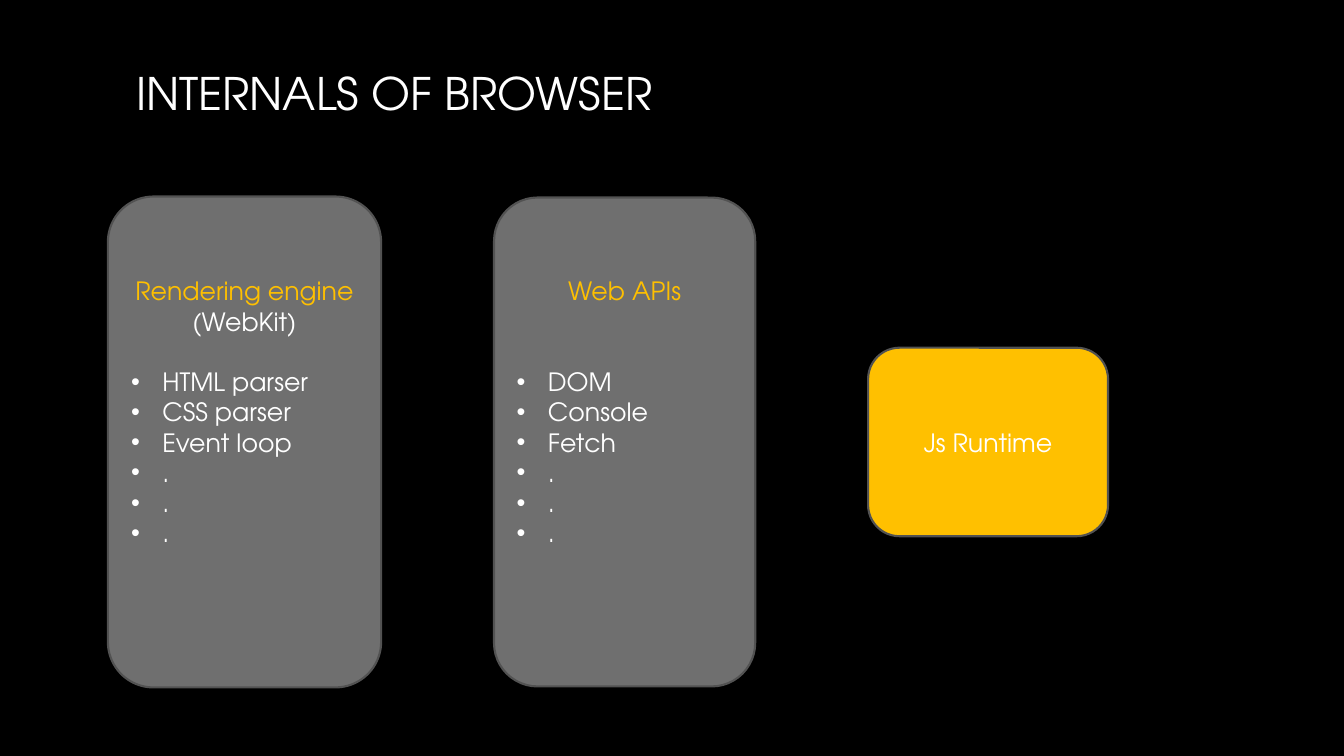
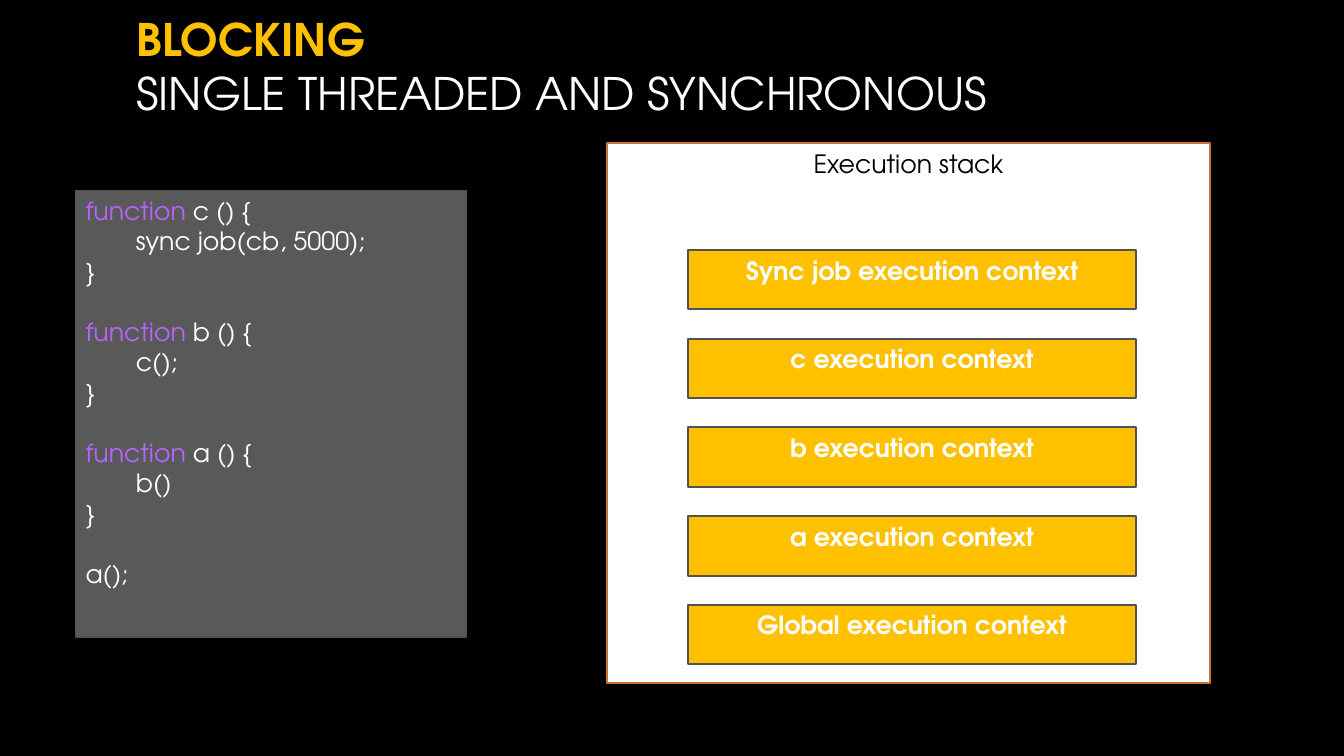
"""Build two slides on browser internals and the blocking call stack."""
import pptx
import pptx.dml.color
import pptx.enum.shapes
import pptx.enum.text
import pptx.oxml.ns
import pptx.util
from lxml import etree

Inches = pptx.util.Inches
Pt = pptx.util.Pt
SHAPE = pptx.enum.shapes.MSO_SHAPE
ALIGN = pptx.enum.text.PP_ALIGN
ANCHOR = pptx.enum.text.MSO_ANCHOR
qn = pptx.oxml.ns.qn

FONT = "TeX Gyre Adventor"
BLACK, WHITE, GOLD, PURPLE = "000000", "FFFFFF", "FFC000", "B764FF"
CARD, CODE, EDGE, ORANGE = "6F6F6F", "595959", "525252", "CF7133"
LINE = 21.6


def rgb(value):
    return pptx.dml.color.RGBColor.from_string(value)


def apply(target, values):
    for name, value in values.items():
        setattr(target, name, value)


class Deck:
    def __init__(self):
        self.prs = pptx.Presentation()
        apply(self.prs, {"slide_width": Inches(13.33), "slide_height": Inches(7.5)})
        fill = self.prs.slide_master.background.fill
        fill.solid()
        fill.fore_color.rgb = rgb(BLACK)

    def run(self, p, text, color=WHITE, size=18, bold=False):
        r = p.add_run()
        r.text = text
        apply(r.font, {"name": FONT, "size": Pt(size), "bold": bold})
        r.font.color.rgb = rgb(color)

    def slide(self, lines, top, height):
        self.s = self.prs.slides.add_slide(self.prs.slide_layouts[5])
        sp = self.s.shapes.title
        apply(sp, {"left": Inches(1.25), "top": Inches(top),
                   "width": Inches(10.83), "height": Inches(height)})
        tf = sp.text_frame
        apply(tf, {"auto_size": pptx.enum.text.MSO_AUTO_SIZE.NONE,
                   "vertical_anchor": ANCHOR.MIDDLE, "word_wrap": True})
        p = tf.paragraphs[0]
        p.alignment = ALIGN.LEFT
        for i, (text, color, bold) in enumerate(lines):
            if i:
                p.add_line_break()
            self.run(p, text, color, 32, bold)

    def box(self, at, fill, line=EDGE, width=1.5, kind=SHAPE.RECTANGLE, anchor=ANCHOR.TOP):
        sp = self.s.shapes.add_shape(kind, *map(Inches, at))
        sp.shadow.inherit = False
        sp.fill.solid()
        sp.fill.fore_color.rgb = rgb(fill)
        sp.line.color.rgb = rgb(line)
        sp.line.width = Pt(width)
        apply(sp.text_frame, {"word_wrap": True, "vertical_anchor": anchor})
        return sp.text_frame

    def label(self, at, text, fill, color=WHITE, bold=False, **style):
        p = self.box(at, fill, **style).paragraphs[0]
        p.alignment = ALIGN.CENTER
        self.run(p, text, color, bold=bold)

    def card(self, at, heading, items, gap):
        tf = self.box(at, CARD, kind=SHAPE.ROUNDED_RECTANGLE, anchor=ANCHOR.MIDDLE)
        tf.margin_bottom = Inches(0.65)
        p = tf.paragraphs[0]
        p.alignment = ALIGN.CENTER
        for text, color in heading:
            self.run(p, text, color)
        for i, item in enumerate(items):
            p = tf.add_paragraph()
            apply(p, {"alignment": ALIGN.LEFT, "space_before": Pt(0 if i else gap)})
            pPr = p._p.get_or_add_pPr()
            pPr.set("marL", str(Inches(0.31)))
            pPr.set("indent", str(Inches(-0.31)))
            etree.SubElement(pPr, qn("a:buFont")).set("typeface", "Arial")
            etree.SubElement(pPr, qn("a:buChar")).set("char", "•")
            self.run(p, item)

    def code(self, at, blocks):
        tf = self.box(at, CODE, width=0.75)
        lines = [(b, i, text) for b, block in enumerate(blocks) for i, text in enumerate(block)]
        for b, i, text in lines:
            first = b == i == 0
            p = tf.paragraphs[0] if first else tf.add_paragraph()
            gap = LINE if b and not i else 0
            apply(p, {"alignment": ALIGN.LEFT, "space_before": Pt(gap)})
            tabs = etree.SubElement(p._p.get_or_add_pPr(), qn("a:tabLst"))
            apply_tab = etree.SubElement(tabs, qn("a:tab"))
            apply_tab.set("pos", str(Inches(0.5)))
            apply_tab.set("algn", "l")
            keyword, found, rest = text.partition("function")
            if found:
                self.run(p, found, PURPLE)
            self.run(p, rest if found else keyword)


def main():
    deck = Deck()

    deck.slide([("INTERNALS OF BROWSER", WHITE, False)], 0.36, 1.11)
    deck.card((1.07, 1.95, 2.71, 4.87),
              [("Rendering engine", GOLD), (" (WebKit)", WHITE)],
              ["HTML parser", "CSS parser", "Event loop", ".", ".", "."], LINE)
    deck.card((4.9, 1.96, 2.59, 4.85), [("Web APIs", GOLD)],
              ["DOM", "Console", "Fetch", ".", ".", "."], 2 * LINE)
    deck.label((8.61, 3.45, 2.38, 1.87), "Js Runtime", GOLD,
               kind=SHAPE.ROUNDED_RECTANGLE, anchor=ANCHOR.MIDDLE)

    deck.slide([("BLOCKING", GOLD, True),
                ("SINGLE THREADED AND SYNCHRONOUS", WHITE, False)], 0, 1.3)
    deck.label((6.02, 1.42, 5.98, 5.36), "Execution stack", WHITE, BLACK, line=ORANGE)
    deck.code((0.75, 1.89, 3.88, 4.43), [
        ["function c () {", "\tsync job(cb, 5000);", "}"],
        ["function b () {", "\tc();", "}"],
        ["function a () {", "\tb()", "}"],
        ["a();"],
    ])
    for i, name in enumerate(["Sync job", "c", "b", "a", "Global"]):
        deck.label((6.82, 2.48 + 0.88 * i, 4.45, 0.59),
                   f"{name} execution context", GOLD, bold=True)

    deck.prs.save("out.pptx")


if __name__ == "__main__":
    main()
